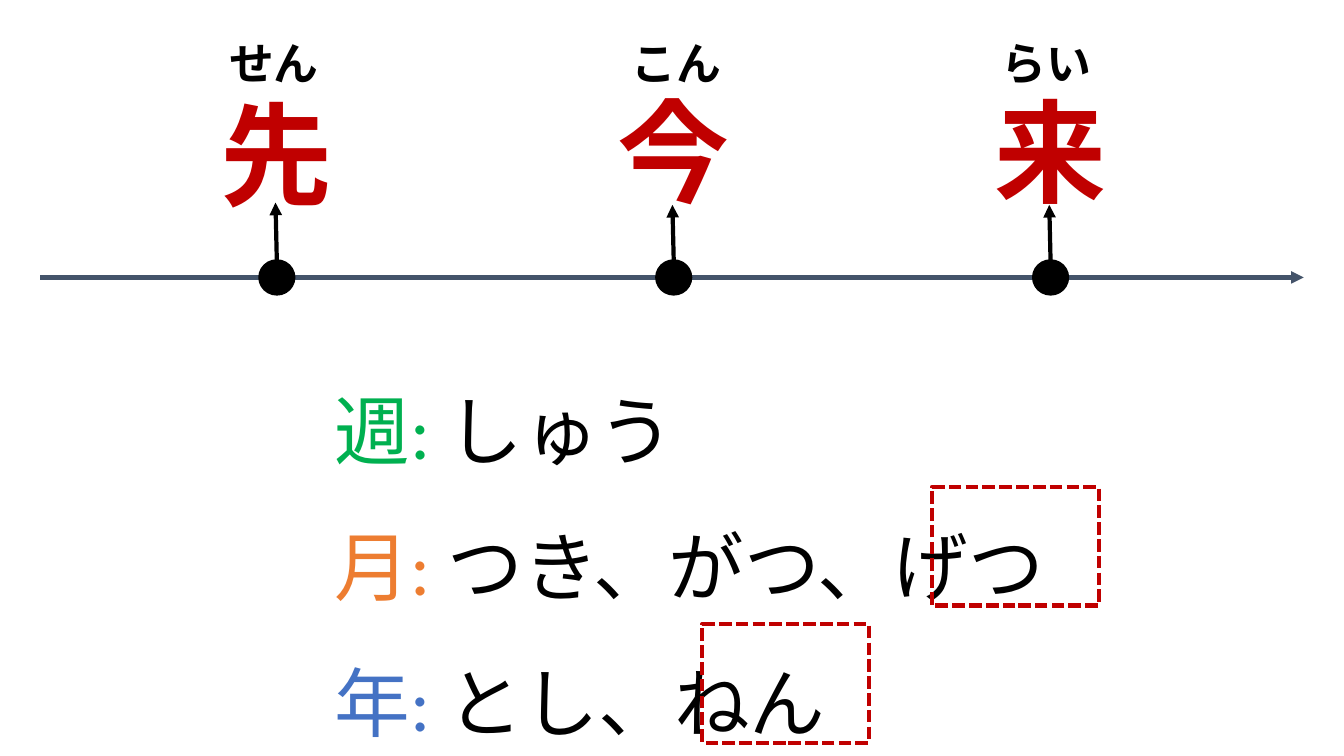
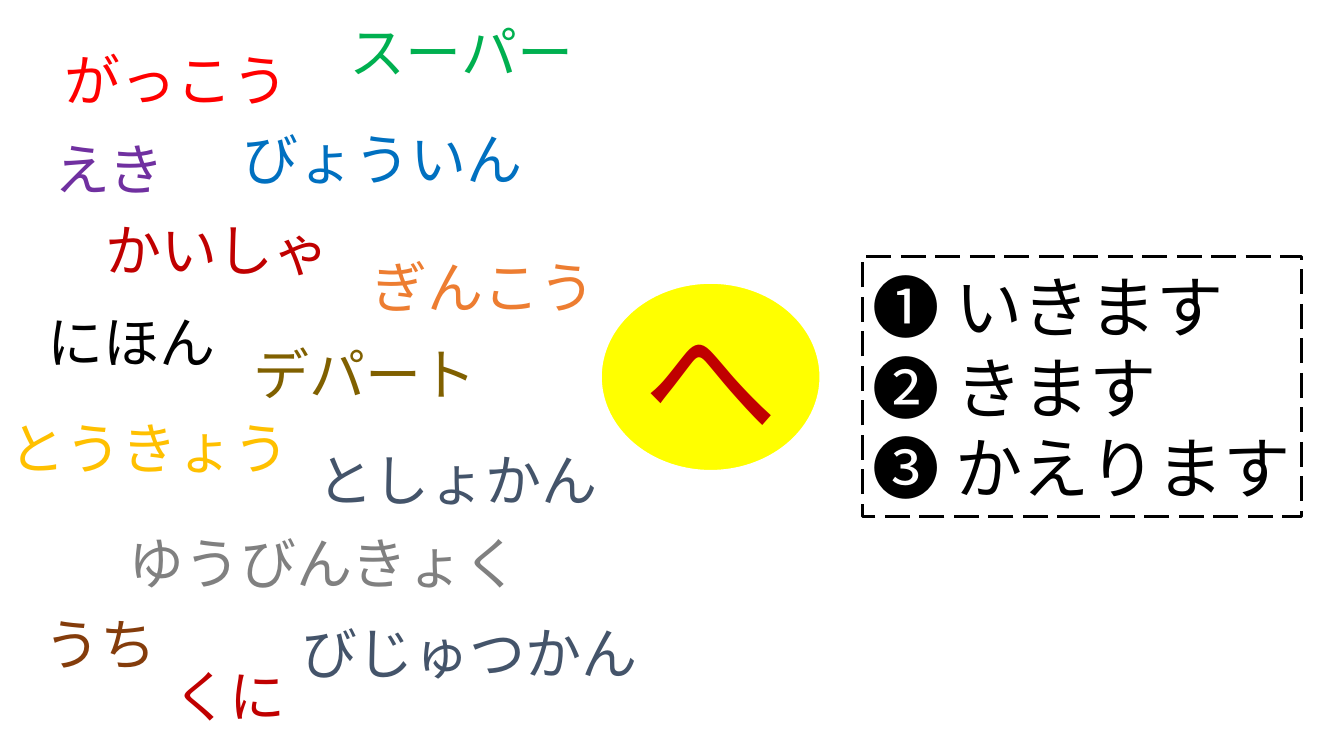
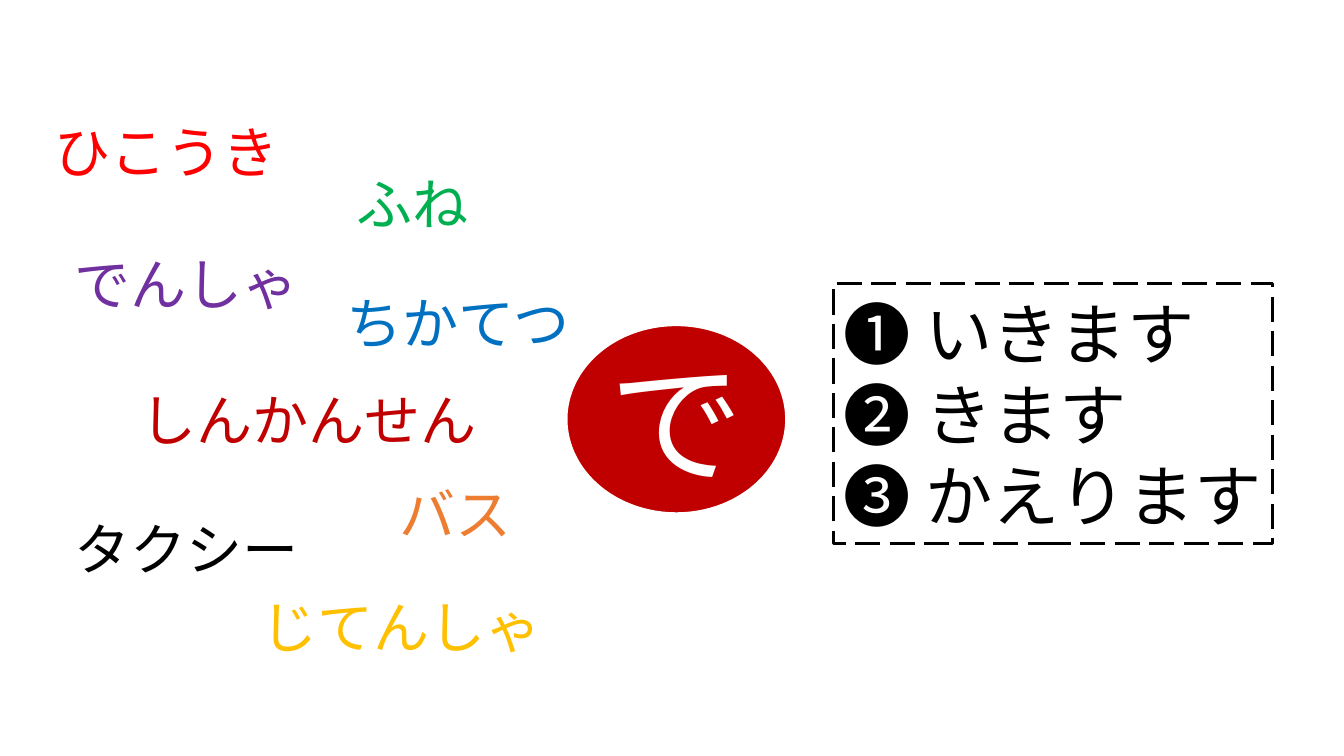
import pptx
import pptx.dml.color
import pptx.enum.dml
import pptx.enum.lang
import pptx.enum.shapes
import pptx.enum.text
import pptx.oxml
import pptx.oxml.ns
import pptx.util

SLIDE_WIDTH = pptx.util.Inches(13.33)
SLIDE_HEIGHT = pptx.util.Inches(7.5)
FONT = "Calibri"

BLACK, WHITE, YELLOW = "000000", "FFFFFF", "FFFF00"
RED, CRIMSON, ORANGE, AMBER = "FF0000", "C00000", "ED7D31", "FFC000"
GREEN, BLUE, ROYAL, PURPLE = "00B050", "0070C0", "4472C4", "7030A0"
SLATE, GRAY, BROWN, OLIVE = "44546A", "808080", "843C0B", "806000"

SHAPE = pptx.enum.shapes.MSO_SHAPE
DASH = pptx.enum.dml.MSO_LINE
ALIGN = pptx.enum.text.PP_ALIGN

VERBS = ["❶ いきます", "❷ きます", "❸ かえります"]

# Time words: dot centre, kanji, kanji top, reading, reading left, arrow tip
TIME_WORDS = [
    (20.6, "先", 10.7, "せん", 16.3, 26.8),
    (50.13, "今", 10.3, "こん", 46.25, 27.1),
    (78.17, "来", 10.3, "らい", 73.8, 27.1),
]
PERIODS = [
    ("週: ", GREEN, "しゅう"),
    ("月: ", ORANGE, "つき、がつ、げつ"),
    ("年: ", ROYAL, "とし、ねん"),
]
# Scattered words: text, colour, left, top, width
PLACES = [
    ("がっこう", RED, 4.05, 5.35, 18.6),
    ("スーパー", GREEN, 25.3, 1.7, 18.7),
    ("えき", PURPLE, 3.3, 17.2, 16.4),
    ("うち", BROWN, 2.6, 80, 12.3),
    ("くに", CRIMSON, 12.2, 86.9, 12.2),
    ("びょういん", BLUE, 17.3, 15.85, 23.8),
    ("かいしゃ", CRIMSON, 7.1, 27.9, 19.8),
    ("とうきょう", AMBER, 0, 54, 23.5),
    ("にほん", BLACK, 2.8, 40, 16.8),
    ("デパート", OLIVE, 18.1, 44.3, 19.6),
    ("ぎんこう", ORANGE, 26.9, 32.7, 23.5),
    ("ゆうびんきょく", GRAY, 8.8, 69.2, 32.3),
    ("としょかん", SLATE, 22.9, 58.3, 23.5),
    ("びじゅつかん", SLATE, 21.7, 81.2, 27.3),
]
VEHICLES = [
    ("ひこうき", RED, 3.3, 14.9, 18.6),
    ("ふね", GREEN, 25.8, 21.75, 18.7),
    ("でんしゃ", PURPLE, 4.8, 32.4, 19.9),
    ("ちかてつ", BLUE, 25.05, 37.5, 23.8),
    ("しんかんせん", CRIMSON, 9.75, 50.4, 31),
    ("じてんしゃ", AMBER, 18.7, 77.7, 23.5),
    ("タクシー", BLACK, 4.8, 67.35, 21.3),
    ("バス", ORANGE, 29, 62.8, 23.5),
]


def rgb(color):
    return pptx.dml.color.RGBColor.from_string(color)


def across(percent):
    return int(SLIDE_WIDTH * percent / 100)


def down(percent):
    return int(SLIDE_HEIGHT * percent / 100)


def area(left, top, width, height):
    """Turn percentages of the slide into lengths."""
    return across(left), down(top), across(width), down(height)


def write(frame, paragraphs, size, bold=False, align=ALIGN.LEFT, spacing=None):
    """Fill a text frame; each paragraph is a list of (text, colour) runs."""
    frame.word_wrap = True
    for index, runs in enumerate(paragraphs):
        paragraph = frame.add_paragraph() if index else frame.paragraphs[0]
        paragraph.alignment = align
        paragraph.line_spacing = spacing
        for text, color in runs:
            run = paragraph.add_run()
            run.text = text
            run.font.name = FONT
            run.font.size = pptx.util.Pt(size)
            run.font.bold = bold
            run.font.color.rgb = rgb(color)
            run.font.language_id = pptx.enum.lang.MSO_LANGUAGE_ID.JAPANESE


def add_text(slide, place, paragraphs, size, **style):
    frame = slide.shapes.add_textbox(*area(*place)).text_frame
    write(frame, paragraphs, size, **style)
    frame.auto_size = pptx.enum.text.MSO_AUTO_SIZE.SHAPE_TO_FIT_TEXT


def add_figure(slide, kind, place, fill, line, line_width, dash=None):
    figure = slide.shapes.add_shape(kind, *area(*place))
    figure.shadow.inherit = False
    if fill:
        figure.fill.solid()
        figure.fill.fore_color.rgb = rgb(fill)
    else:
        figure.fill.background()
    figure.line.color.rgb = rgb(line)
    figure.line.width = pptx.util.Pt(line_width)
    figure.line.dash_style = dash
    figure.text_frame.vertical_anchor = pptx.enum.text.MSO_ANCHOR.MIDDLE
    return figure


def add_arrow(slide, start, end, color):
    arrow = slide.shapes.add_connector(
        pptx.enum.shapes.MSO_CONNECTOR.STRAIGHT,
        across(start[0]), down(start[1]), across(end[0]), down(end[1]))
    arrow.line.color.rgb = rgb(color)
    arrow.line.width = pptx.util.Pt(3)
    namespace = pptx.oxml.ns.nsdecls("a")
    properties = arrow._element.spPr
    properties.find(pptx.oxml.ns.qn("a:ln")).append(
        pptx.oxml.parse_xml(f'<a:tailEnd {namespace} type="triangle"/>'))
    properties.append(pptx.oxml.parse_xml(f"<a:effectLst {namespace}/>"))
    return arrow


def add_time_word(slide, axis, center, kanji, kanji_top, reading, reading_left, tip):
    """Mark a point on the time axis and point up to its kanji and reading."""
    width, height = 2.45, 4.25
    dot_top = axis - height / 2
    dot = add_figure(slide, SHAPE.FLOWCHART_CONNECTOR,
                     (center - width / 2, dot_top, width, height), BLACK, BLACK, 3)
    pointer = add_arrow(slide, (center, dot_top), (center - 0.1, tip), BLACK)
    pointer.begin_connect(dot, 0)
    add_text(slide, (center - 11.1, kanji_top, 22.2, 19.3),
             [[(kanji, CRIMSON)]], 80, bold=True, align=ALIGN.CENTER)
    add_text(slide, (reading_left, 4, 8.9, 8.5), [[(reading, BLACK)]], 32, bold=True)


def build_timeline(slide):
    axis = 36.7
    add_arrow(slide, (3, axis), (97, axis), SLATE)
    for time_word in TIME_WORDS:
        add_time_word(slide, axis, *time_word)
    add_text(slide, (24.15, 44.15, 59.85, 55.85),
             [[(kanji, color), (readings, BLACK)] for kanji, color, readings in PERIODS],
             54, spacing=1.5)
    for left, top in [(69.35, 64.4), (52.25, 82.55)]:
        add_figure(slide, SHAPE.RECTANGLE, (left, top, 12.4, 15.7),
                   None, CRIMSON, 3, DASH.SQUARE_DOT)


def build_particle(slide, words, particle, particle_at, colors, verbs_at):
    """Scattered words, a particle in an oval, and the verbs that follow it."""
    verbs = add_figure(slide, SHAPE.RECTANGLE, (*verbs_at, 32.65, 34.4),
                       WHITE, BLACK, 2.25, DASH.LONG_DASH)
    # A narrow right margin keeps the longest verb on one line
    verbs.text_frame.margin_right = pptx.util.Inches(0.02)
    write(verbs.text_frame, [[(verb, BLACK)] for verb in VERBS], 48)
    for word, color, left, top, width in words:
        add_text(slide, (left, top, width, 10.3), [[(word, color)]], 40)
    fill, ink = colors
    oval = add_figure(slide, SHAPE.OVAL, (*particle_at, 16.35, 24.9), fill, WHITE, 1.5)
    write(oval.text_frame, [[(particle, ink)]], 96, align=ALIGN.CENTER)


def main():
    deck = pptx.Presentation()
    deck.slide_width, deck.slide_height = SLIDE_WIDTH, SLIDE_HEIGHT
    blank = deck.slide_layouts[6]
    build_timeline(deck.slides.add_slide(blank))
    build_particle(deck.slides.add_slide(blank), PLACES, "へ", (44.7, 37.4),
                   (YELLOW, CRIMSON), (64.2, 33.9))
    build_particle(deck.slides.add_slide(blank), VEHICLES, "で", (42.15, 43),
                   (CRIMSON, WHITE), (62, 37.5))
    deck.save("out.pptx")


if __name__ == "__main__":
    main()
